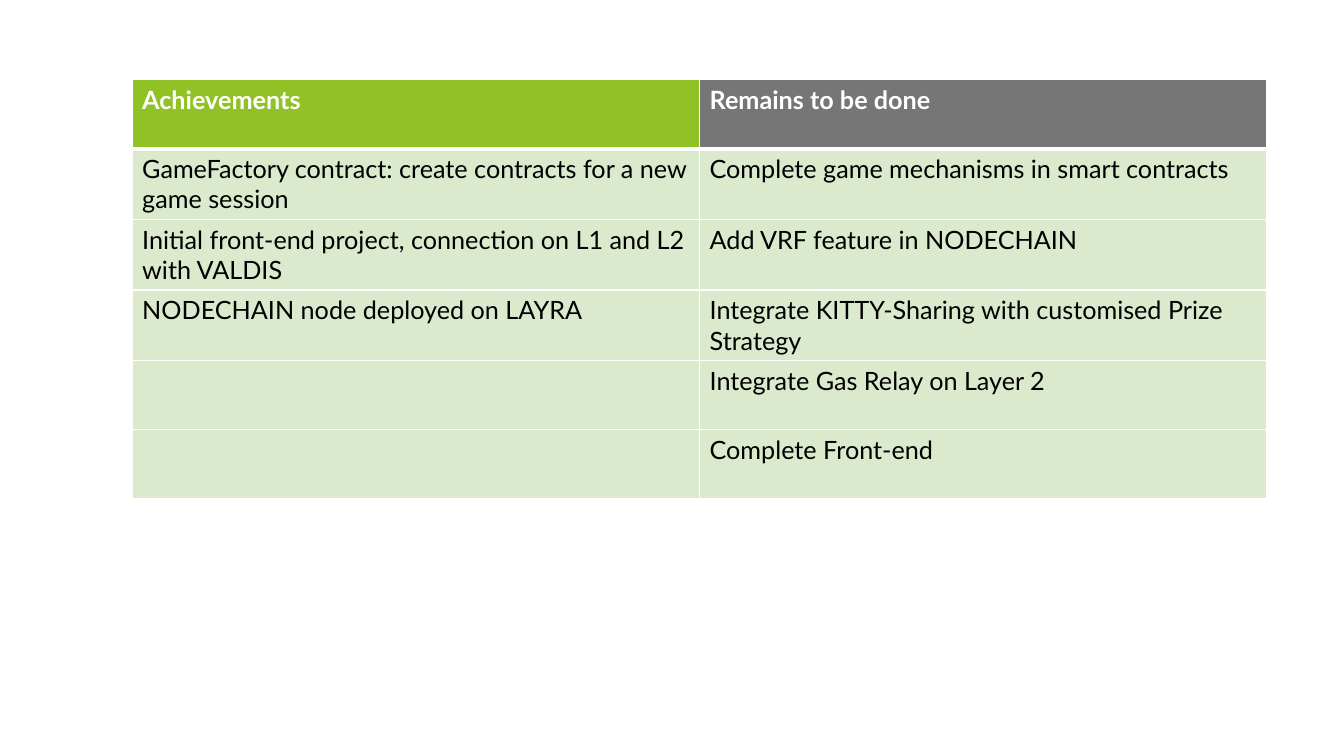
from dataclasses import dataclass

from lxml import etree
from pptx import Presentation
from pptx.dml.color import RGBColor
from pptx.oxml.ns import qn
from pptx.util import Cm, Pt


@dataclass(frozen=True)
class Theme:
    font: str = "Lato"
    size: int = 18
    done: str = "90C226"
    todo: str = "767676"
    body: str = "DBE9CD"
    light: str = "FFFFFF"
    dark: str = "000000"
    border: float = 1
    header_border: float = 3


@dataclass(frozen=True)
class CellStyle:
    fill: str
    color: str
    bold: bool = False
    top: float = 1
    bottom: float = 1


@dataclass(frozen=True)
class Column:
    heading: str
    fill: str
    items: tuple[str, ...]


THEME = Theme()
COLUMNS = (
    Column("Achievements", THEME.done, (
        "GameFactory contract: create contracts for a new game session",
        "Initial front-end project, connection on L1 and L2 with VALDIS",
        "NODECHAIN node deployed on LAYRA",
    )),
    Column("Remains to be done", THEME.todo, (
        "Complete game mechanisms in smart contracts",
        "Add VRF feature in NODECHAIN",
        "Integrate KITTY-Sharing with customised Prize Strategy",
        "Integrate Gas Relay on Layer 2",
        "Complete Front-end",
    )),
)
LEFT, TOP = Cm(3.33), Cm(2.01)
COLUMN_WIDTH, ROW_HEIGHT = Cm(14.3), Cm(1.74)


def add_borders(cell, style: CellStyle) -> None:
    tc_pr = cell._tc.get_or_add_tcPr()
    widths = {"lnL": THEME.border, "lnR": THEME.border,
              "lnT": style.top, "lnB": style.bottom}
    for i, (tag, width) in enumerate(widths.items()):
        ln = etree.Element(qn(f"a:{tag}"), w=str(Pt(width)))
        fill = etree.SubElement(ln, qn("a:solidFill"))
        etree.SubElement(fill, qn("a:srgbClr"), val=THEME.light)
        tc_pr.insert(i, ln)


def write_cell(cell, text: str, style: CellStyle) -> None:
    cell.fill.solid()
    cell.fill.fore_color.rgb = RGBColor.from_string(style.fill)
    add_borders(cell, style)
    p = cell.text_frame.paragraphs[0]
    font = p.font
    if text:
        r = p.add_run()
        r.text = text
        font = r.font
    formats = {"name": THEME.font, "size": Pt(THEME.size), "bold": style.bold}
    for name, value in formats.items():
        setattr(font, name, value)
    font.color.rgb = RGBColor.from_string(style.color)


def add_progress_table(s, columns: tuple[Column, ...]) -> None:
    rows = 1 + max(len(column.items) for column in columns)
    table = s.shapes.add_table(
        rows, len(columns), LEFT, TOP,
        COLUMN_WIDTH * len(columns), ROW_HEIGHT * rows).table
    table.horz_banding = False
    for row in table.rows:
        row.height = ROW_HEIGHT
    for c, column in enumerate(columns):
        table.columns[c].width = COLUMN_WIDTH
        header = CellStyle(column.fill, THEME.light, True,
                           bottom=THEME.header_border)
        write_cell(table.cell(0, c), column.heading, header)
        for i in range(1, rows):
            text = column.items[i - 1] if i <= len(column.items) else ""
            top = THEME.header_border if i == 1 else THEME.border
            style = CellStyle(THEME.body, THEME.dark, top=top)
            write_cell(table.cell(i, c), text, style)


def main() -> None:
    prs = Presentation()
    prs.slide_width, prs.slide_height = Cm(33.87), Cm(19.05)
    s = prs.slides.add_slide(prs.slide_layouts[6])
    add_progress_table(s, COLUMNS)
    prs.save("out.pptx")


if __name__ == "__main__":
    main()
